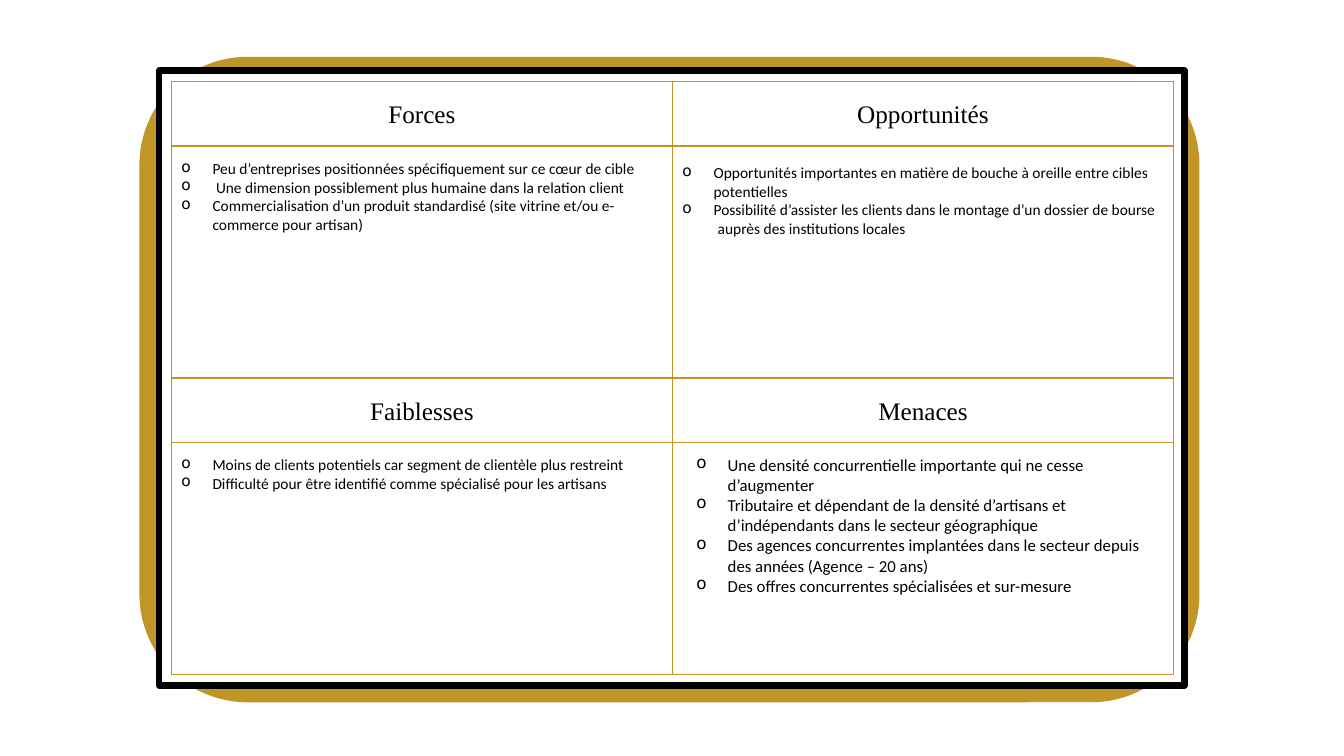
from lxml.etree import SubElement
from pptx import Presentation
from pptx.dml.color import RGBColor
from pptx.enum.shapes import MSO_SHAPE
from pptx.enum.text import MSO_ANCHOR, PP_ALIGN
from pptx.oxml.ns import qn
from pptx.util import Inches, Pt

THEME = {
    "gold": RGBColor.from_string("C09628"),
    "black": RGBColor.from_string("000000"),
    "white": RGBColor.from_string("FFFFFF"),
    "title": {"name": "Times New Roman", "size": Pt(18)},
    "body": {"name": "Calibri", "size": Pt(11)},
    "large body": {"name": "Calibri", "size": Pt(12)},
}

# Each quadrant: column, row, title, body style, body box and its lines (text, has bullet)
QUADRANTS = [
    {"column": 1, "row": 0, "title": "Opportunités", "style": "body",
     "box": (6.67, 1.57, 4.97, 1.45), "lines": [
         ("Opportunités importantes en matière de bouche à oreille entre cibles potentielles", True),
         ("Possibilité d’assister les clients dans le montage d’un dossier de bourse", True),
         ("auprès des institutions locales", False)]},
    {"column": 0, "row": 0, "title": "Forces", "style": "body",
     "box": (1.7, 1.53, 4.97, 1.63), "lines": [
         ("Peu d’entreprises positionnées spécifiquement sur ce cœur de cible", True),
         (" Une dimension possiblement plus humaine dans la relation client", True),
         ("Commercialisation d’un produit standardisé (site vitrine et/ou e-commerce pour artisan)", True)]},
    {"column": 1, "row": 1, "title": "Menaces", "style": "large body",
     "box": (6.81, 4.46, 4.63, 2.12), "lines": [
         ("Une densité concurrentielle importante qui ne cesse d’augmenter", True),
         ("Tributaire et dépendant de la densité d’artisans et d’indépendants dans le secteur géographique", True),
         ("Des agences concurrentes implantées dans le secteur depuis des années (Agence – 20 ans)", True),
         ("Des offres concurrentes spécialisées et sur-mesure", True)]},
    {"column": 0, "row": 1, "title": "Faiblesses", "style": "body",
     "box": (1.7, 4.47, 4.97, 2), "lines": [
         ("Moins de clients potentiels car segment de clientèle plus restreint", True),
         ("Difficulté pour être identifié comme spécialisé pour les artisans", True)]},
]

GRID_LEFT, GRID_TOP = 1.7, 0.81
CELL_WIDTH, CELL_HEIGHT, TITLE_HEIGHT = 4.97, 2.94, 0.64
BULLET_INDENT, CONTINUATION_INDENT = 0.31, 0.35


def add_box(slide, box, line, line_width, fill=None, kind=MSO_SHAPE.RECTANGLE):
    shape = slide.shapes.add_shape(kind, *map(Inches, box))
    shape.shadow.inherit = False
    if fill is None:
        shape.fill.background()
    else:
        shape.fill.solid()
        shape.fill.fore_color.rgb = fill
    shape.line.color.rgb = line
    shape.line.width = Pt(line_width)
    return shape


def add_text(paragraph, text, style):
    run = paragraph.add_run()
    run.text = text
    for attribute, value in THEME[style].items():
        setattr(run.font, attribute, value)
    run.font.color.rgb = THEME["black"]


def indent(paragraph, has_bullet):
    """Set a hanging round bullet, or align a continuation line with the text."""
    properties = paragraph._p.get_or_add_pPr()
    if has_bullet:
        properties.set("marL", str(Inches(BULLET_INDENT)))
        properties.set("indent", str(-Inches(BULLET_INDENT)))
        SubElement(properties, qn("a:buChar")).set("char", "o")
    else:
        properties.set("marL", str(Inches(CONTINUATION_INDENT)))


def cell_box(quadrant, height):
    return (GRID_LEFT + quadrant["column"] * CELL_WIDTH,
            GRID_TOP + quadrant["row"] * CELL_HEIGHT, CELL_WIDTH, height)


def add_title(slide, quadrant):
    shape = add_box(slide, cell_box(quadrant, TITLE_HEIGHT), THEME["gold"], 1, THEME["white"])
    shape.text_frame.vertical_anchor = MSO_ANCHOR.MIDDLE
    paragraph = shape.text_frame.paragraphs[0]
    paragraph.alignment = PP_ALIGN.CENTER
    add_text(paragraph, quadrant["title"], "title")


def add_body(slide, quadrant):
    frame = slide.shapes.add_textbox(*map(Inches, quadrant["box"])).text_frame
    frame.word_wrap = True
    for index, (text, has_bullet) in enumerate(quadrant["lines"]):
        paragraph = frame.add_paragraph() if index else frame.paragraphs[0]
        indent(paragraph, has_bullet)
        add_text(paragraph, text, quadrant["style"])


def main():
    presentation = Presentation()
    presentation.slide_width, presentation.slide_height = Inches(13.33), Inches(7.5)
    slide = presentation.slides.add_slide(presentation.slide_layouts[6])

    add_box(slide, (1.39, 0.57, 10.5, 6.39), THEME["gold"], 1, THEME["gold"],
            MSO_SHAPE.ROUNDED_RECTANGLE)
    add_box(slide, (1.58, 0.7, 10.17, 6.1), THEME["black"], 4.5, THEME["white"])
    for quadrant in QUADRANTS:
        add_box(slide, cell_box(quadrant, CELL_HEIGHT), THEME["gold"], 0.75)
    for quadrant in QUADRANTS:
        add_title(slide, quadrant)
        add_body(slide, quadrant)
    presentation.save("out.pptx")


if __name__ == "__main__":
    main()
